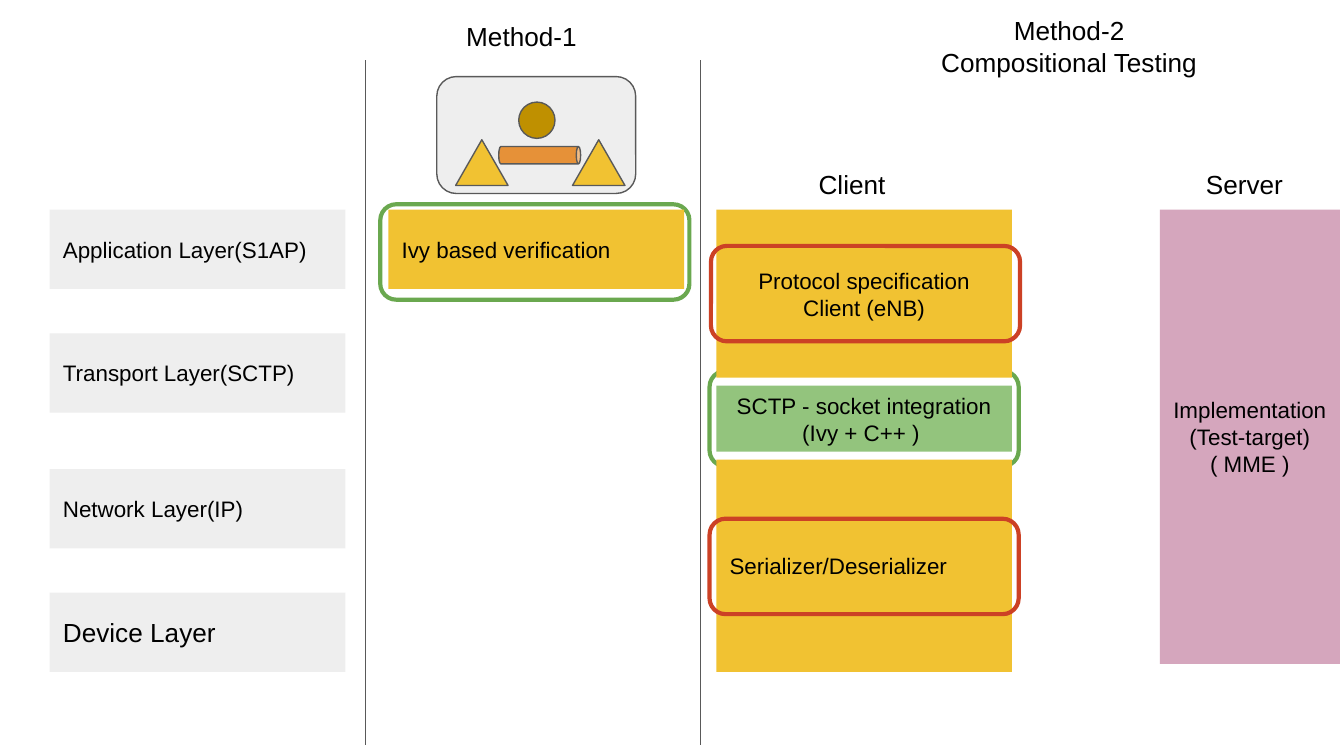
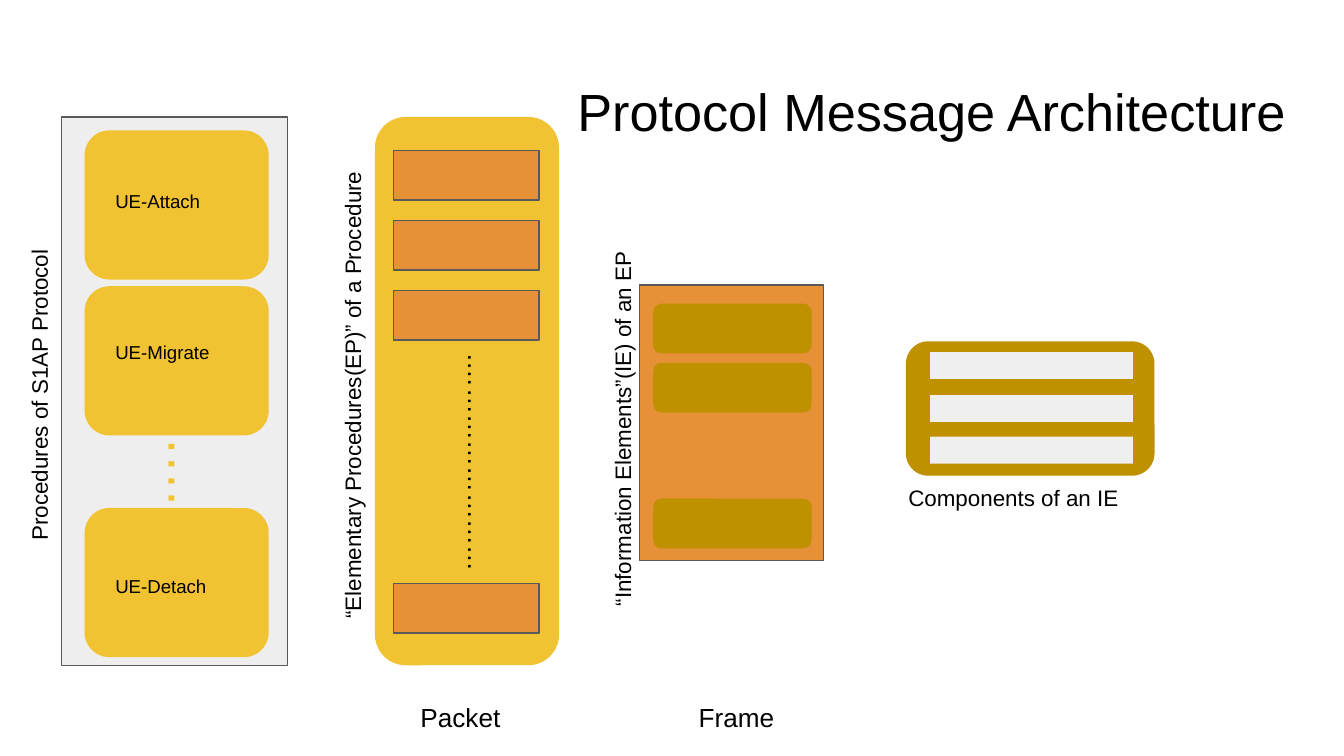
from dataclasses import dataclass

from lxml.etree import SubElement
from pptx import Presentation
from pptx.dml.color import RGBColor
from pptx.enum.shapes import MSO_CONNECTOR, MSO_SHAPE
from pptx.enum.text import MSO_ANCHOR, PP_ALIGN
from pptx.oxml.ns import qn
from pptx.util import Inches, Pt


@dataclass(frozen=True)
class Theme:
    font: str = "Arial"
    black: str = "000000"
    gray: str = "EEEEEE"
    pale: str = "EFEFEF"
    outline: str = "595959"
    yellow: str = "F1C232"
    gold: str = "BF9000"
    orange: str = "E69138"
    pink: str = "D5A6BD"
    light_green: str = "93C47D"
    green: str = "6AA84F"
    red: str = "CC4125"
    title: int = 28
    dots: int = 29
    heading: int = 14
    body: int = 12
    small: int = 10
    thin: float = 0.75
    thick: float = 2.25


theme = Theme()


def add_box(shapes, kind, at, fill=None, line=None, weight=theme.thin, rotation=0):
    """Add a preset shape at (left, top, width, height) in inches."""
    shape = shapes.add_shape(kind, *map(Inches, at))
    shape.shadow.inherit = False
    shape.rotation = rotation
    if fill:
        shape.fill.solid()
        shape.fill.fore_color.rgb = RGBColor.from_string(fill)
    else:
        shape.fill.background()
    if line:
        shape.line.color.rgb = RGBColor.from_string(line)
        shape.line.width = Pt(weight)
    else:
        shape.line.fill.background()
    return shape


def write(shape, text, size=theme.body, color=theme.black, align=PP_ALIGN.LEFT,
          anchor=MSO_ANCHOR.TOP, rotation=0):
    """Fill a shape or text box; a line feed starts a paragraph, \v breaks a line."""
    shape.rotation = rotation
    frame = shape.text_frame
    frame.word_wrap = True
    frame.vertical_anchor = anchor
    frame.margin_left = frame.margin_right = Inches(0.1)
    frame.margin_top = frame.margin_bottom = Inches(0.1)
    frame.text = text
    for paragraph in frame.paragraphs:
        paragraph.alignment = align
        for run in paragraph.runs:
            run.font.name = theme.font
            run.font.size = Pt(size)
            run.font.color.rgb = RGBColor.from_string(color)


# Widescreen 16:9 presentation
presentation = Presentation()
presentation.slide_width = Inches(10)
presentation.slide_height = Inches(10) * 9 // 16
blank = presentation.slide_layouts[6]
RECTANGLE, ROUNDED = MSO_SHAPE.RECTANGLE, MSO_SHAPE.ROUNDED_RECTANGLE

# Slide 1: verification methods beside the protocol layers
slide = presentation.slides.add_slide(blank)
block_width, layer_height = 2.2, 0.59
layer_left, method_left, client_left = 0.37, 2.89, 5.33
top = 1.56

# Green frames behind the blocks
for left, frame_top in [(2.83, 1.52), (5.28, 2.76)]:
    add_box(slide.shapes, ROUNDED, (left, frame_top, 2.3, 0.71),
            line=theme.green, weight=theme.thick)

# Protocol layers
layers = slide.shapes.add_group_shape().shapes
for text, layer_top, size in [
    ("Application Layer(S1AP)", top, theme.body),
    ("Transport Layer(SCTP)", 2.48, theme.body),
    ("Network Layer(IP)", 3.49, theme.body),
    ("Device Layer", 4.41, theme.heading),
]:
    layer = add_box(layers, RECTANGLE,
                    (layer_left, layer_top, block_width, layer_height), theme.gray)
    write(layer, text, size=size, anchor=MSO_ANCHOR.MIDDLE)

# Blocks of both methods
for text, at, fill, align in [
    ("Ivy based verification", (method_left, top, block_width, layer_height),
     theme.yellow, PP_ALIGN.LEFT),
    ("SCTP - socket integration\v(Ivy + C++ ) ", (client_left, 2.87, block_width, 0.49),
     theme.light_green, PP_ALIGN.CENTER),
    ("Serializer/Deserializer", (client_left, 3.42, block_width, 1.58),
     theme.yellow, PP_ALIGN.LEFT),
    ("Protocol specification\vClient (eNB)", (client_left, top, block_width, 1.25),
     theme.yellow, PP_ALIGN.CENTER),
    ("Implementation\v(Test-target)\n( MME )", (8.63, top, 1.34, 3.38),
     theme.pink, PP_ALIGN.CENTER),
]:
    block = add_box(slide.shapes, RECTANGLE, at, fill)
    write(block, text, align=align, anchor=MSO_ANCHOR.MIDDLE)

# Emblem of method 1
emblem = slide.shapes.add_group_shape().shapes
for kind, at, fill, rotation in [
    (ROUNDED, (3.25, 0.57, 1.48, 0.87), theme.gray, 0),
    (MSO_SHAPE.ISOSCELES_TRIANGLE, (3.39, 1.04, 0.39, 0.34), theme.yellow, 0),
    (MSO_SHAPE.ISOSCELES_TRIANGLE, (4.26, 1.04, 0.39, 0.34), theme.yellow, 0),
    (MSO_SHAPE.CAN, (3.95, 0.85, 0.13, 0.61), theme.orange, 90),
    (MSO_SHAPE.OVAL, (3.86, 0.76, 0.27, 0.27), theme.gold, 0),
]:
    add_box(emblem, kind, at, fill, theme.outline, rotation=rotation)

# Column dividers
for x in (2.72, 5.21):
    divider = slide.shapes.add_connector(
        MSO_CONNECTOR.STRAIGHT, Inches(x), Inches(0.45), Inches(x), Inches(5.54))
    divider.line.color.rgb = RGBColor.from_string(theme.outline)
    divider.line.width = Pt(theme.thin)
    SubElement(divider._element.spPr, qn("a:effectLst"))

# Column headings
for text, at, align in [
    ("Method-1", (3.37, 0.05, 1.08, 0.63), PP_ALIGN.LEFT),
    ("Method-2\nCompositional Testing", (6.67, 0.01, 2.57, 0.63), PP_ALIGN.CENTER),
    ("Client", (5.8, 1.15, 1.08, 0.35), PP_ALIGN.CENTER),
    ("Server", (8.72, 1.15, 1.08, 0.35), PP_ALIGN.CENTER),
]:
    heading = slide.shapes.add_textbox(*map(Inches, at))
    write(heading, text, size=theme.heading, align=align)

# Red frames over the client blocks
for left, frame_top in [(5.28, 3.86), (5.29, 1.83)]:
    add_box(slide.shapes, ROUNDED, (left, frame_top, 2.3, 0.71),
            line=theme.red, weight=theme.thick)

# Slide 2: protocol message architecture
slide = presentation.slides.add_slide(blank)
title = slide.shapes.add_textbox(Inches(0.34), Inches(0.49), Inches(9.32), Inches(0.63))
write(title, "Protocol Message Architecture", size=theme.title, align=PP_ALIGN.RIGHT)
column_top, column_width, column_height = 0.87, 1.37, 4.08

# Procedures
procedures = slide.shapes.add_group_shape().shapes
add_box(procedures, RECTANGLE, (0.46, column_top, 1.68, column_height),
        theme.gray, theme.outline)
for text, card_top, text_top in [
    ("UE-Attach", 0.97, 1.33),
    ("UE-Migrate", 2.13, 2.45),
    ("UE-Detach", 3.78, 4.19),
]:
    add_box(procedures, ROUNDED, (0.63, card_top, column_width, 1.11), theme.yellow)
    label = procedures.add_textbox(*map(Inches, (0.76, text_top, 1.08, 0.41)))
    write(label, text, size=theme.small)

# Elementary procedures in a packet
packet = slide.shapes.add_group_shape().shapes
add_box(packet, ROUNDED, (2.79, column_top, column_width, column_height), theme.yellow)
for bar_top in (1.12, 1.64, 2.16, 4.34):
    add_box(packet, RECTANGLE, (2.93, bar_top, 1.08, 0.37), theme.orange, theme.outline)

# Information elements in a frame
frame_group = slide.shapes.add_group_shape().shapes
add_box(frame_group, RECTANGLE, (4.76, 2.12, column_width, 2.05),
        theme.orange, theme.outline)
for element_top in (2.26, 2.7, 3.71):
    add_box(frame_group, ROUNDED, (4.86, element_top, 1.18, 0.37), theme.gold)

# Components of one information element
components = slide.shapes.add_group_shape().shapes
add_box(components, ROUNDED, (6.74, 2.54, 1.85, 1), theme.gold)
for row_top in (2.62, 2.94, 3.25):
    add_box(components, RECTANGLE, (6.92, row_top, 1.51, 0.2), theme.pale)

# Upward labels and dotted gaps
for shapes, text, at, size, color in [
    (procedures, "….", (0.58, 3.02, 1.08, 0.65), theme.dots, theme.yellow),
    (procedures, "Procedures of S1AP Protocol", (-1.33, 2.24, 3.3, 0.46),
     theme.body, theme.black),
    (packet, "…………………….", (2.23, 2.85, 2.48, 0.52), theme.heading, theme.black),
    (packet, "“Elementary Procedures(EP)” of a Procedure", (0.2, 2.02, 4.9, 0.46),
     theme.body, theme.black),
    (frame_group, "“Information Elements”(IE) of an EP", (3.01, 2.73, 3.3, 0.46),
     theme.body, theme.black),
]:
    label = shapes.add_textbox(*map(Inches, at))
    write(label, text, size=size, color=color, rotation=270)

# Captions
for shapes, text, at, size in [
    (components, "Components of an IE", (6.66, 3.5, 2.05, 0.43), theme.body),
    (slide.shapes, "Packet", (3.03, 5.12, 1.04, 0.42), theme.heading),
    (slide.shapes, "Frame", (5.1, 5.12, 1.04, 0.42), theme.heading),
]:
    caption = shapes.add_textbox(*map(Inches, at))
    write(caption, text, size=size)

presentation.save("out.pptx")
